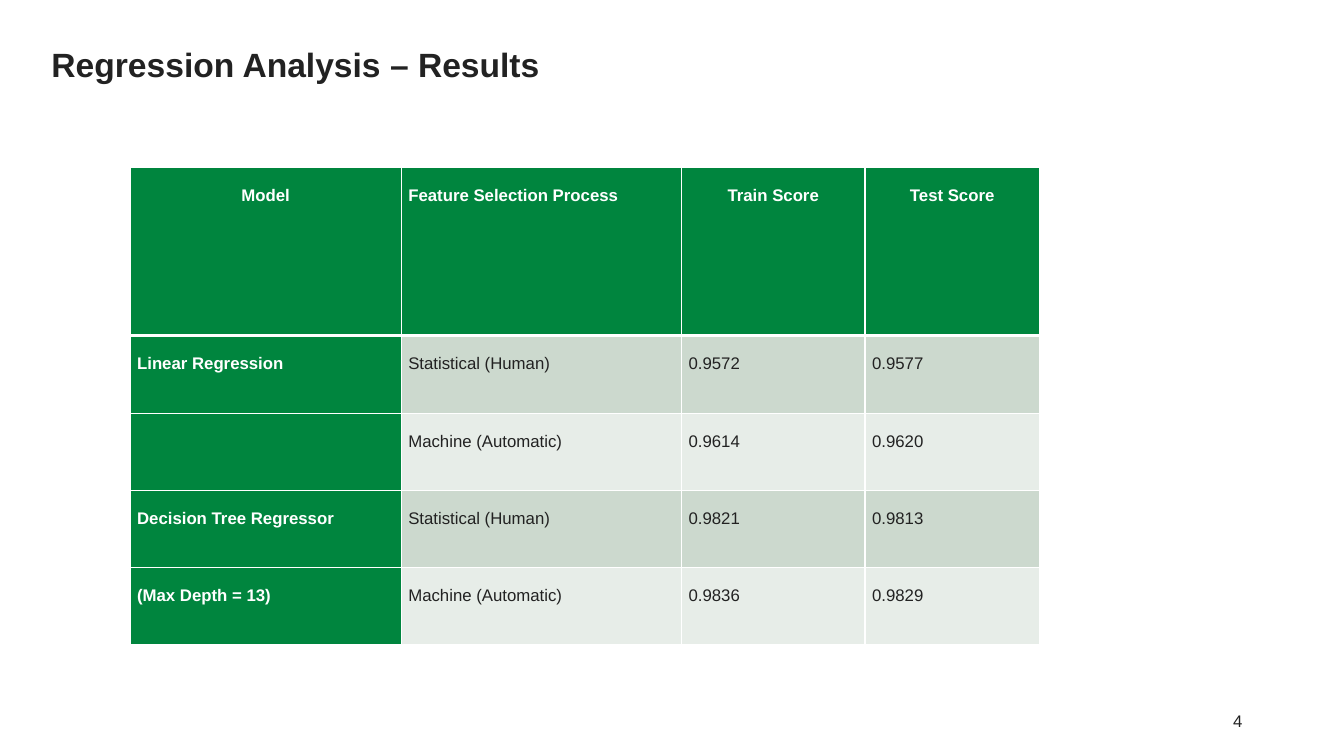
import pptx
import pptx.util
import pptx.dml.color
import pptx.enum.text
import pptx.oxml
import pptx.oxml.ns

Inches = pptx.util.Inches
Pt = pptx.util.Pt
Align = pptx.enum.text.PP_ALIGN
Anchor = pptx.enum.text.MSO_ANCHOR
GREEN, WHITE, DARK = "00853E", "FFFFFF", "222222"
BANDS = ["CCD9CE", "E7EDE8"]


def color(text):
    return pptx.dml.color.RGBColor.from_string(text)


def style(para, size, ink, bold=False):
    for run in para.runs:
        run.font.name = "Arial"
        run.font.size = Pt(size)
        run.font.bold = bold
        run.font.color.rgb = color(ink)


deck = pptx.Presentation()
deck.slide_width = Inches(13.33)
deck.slide_height = Inches(7.5)
slide = deck.slides.add_slide(deck.slide_layouts[5])

# Title
title = slide.shapes.title
title.left, title.top = Inches(0.51), Inches(0.44)
title.width, title.height = Inches(9.8), Inches(1.01)
frame = title.text_frame
frame.text = "Regression Analysis – Results"
frame.margin_left = frame.margin_right = 0
frame.margin_top = frame.margin_bottom = 0
frame.vertical_anchor = Anchor.TOP
frame.paragraphs[0].alignment = Align.LEFT
style(frame.paragraphs[0], 24, DARK, True)

# Score table
rows = [
    ["Model", "Feature Selection Process", "Train Score", "Test Score"],
    ["Linear Regression", "Statistical (Human)", "0.9572", "0.9577"],
    ["", "Machine (Automatic)", "0.9614", "0.9620"],
    ["Decision Tree Regressor", "Statistical (Human)", "0.9821", "0.9813"],
    ["(Max Depth = 13)", "Machine (Automatic)", "0.9836", "0.9829"],
]
widths = [2.69, 2.78, 1.82, 1.73]
heights = [1.67, 0.77, 0.77, 0.76, 0.77]
table = slide.shapes.add_table(
    len(rows), len(widths), Inches(1.29), Inches(1.66),
    Inches(sum(widths)), Inches(sum(heights))).table
table.first_col = True
for col, width in zip(table.columns, widths):
    col.width = Inches(width)

for r, row in enumerate(rows):
    table.rows[r].height = Inches(heights[r])
    for c, text in enumerate(row):
        cell = table.cell(r, c)
        head = r == 0 or c == 0
        cell.margin_left = cell.margin_right = Inches(0.07)
        cell.margin_top = cell.margin_bottom = 0
        cell.fill.solid()
        cell.fill.fore_color.rgb = color(GREEN if head else BANDS[(r - 1) % 2])

        # Cell text
        para = cell.text_frame.paragraphs[0]
        para.text = text
        para.font.size = Pt(12)
        para.line_spacing = 2.0
        para.space_after = Pt(8)
        center = r == 0 and c != 1
        para.alignment = Align.CENTER if center else Align.JUSTIFY
        style(para, 12, WHITE if head else DARK, head)

        # White borders, thicker under the header
        props = cell._tc.get_or_add_tcPr()
        for i, side in enumerate(["L", "R", "T", "B"]):
            thick = (r, side) in [(0, "B"), (1, "T")]
            props.insert(i, pptx.oxml.parse_xml(
                f'<a:ln{side} {pptx.oxml.ns.nsdecls("a")} w="{Pt(3 if thick else 1)}">'
                f'<a:solidFill><a:srgbClr val="{WHITE}"/></a:solidFill></a:ln{side}>'))

# Page number
page = slide.shapes.add_textbox(
    Inches(11.89), Inches(6.95), Inches(0.53), Inches(0.4))
frame = page.text_frame
frame.word_wrap = True
frame.vertical_anchor = Anchor.MIDDLE
frame.text = "4"
frame.paragraphs[0].alignment = Align.RIGHT
style(frame.paragraphs[0], 12, DARK)

deck.save("out.pptx")
